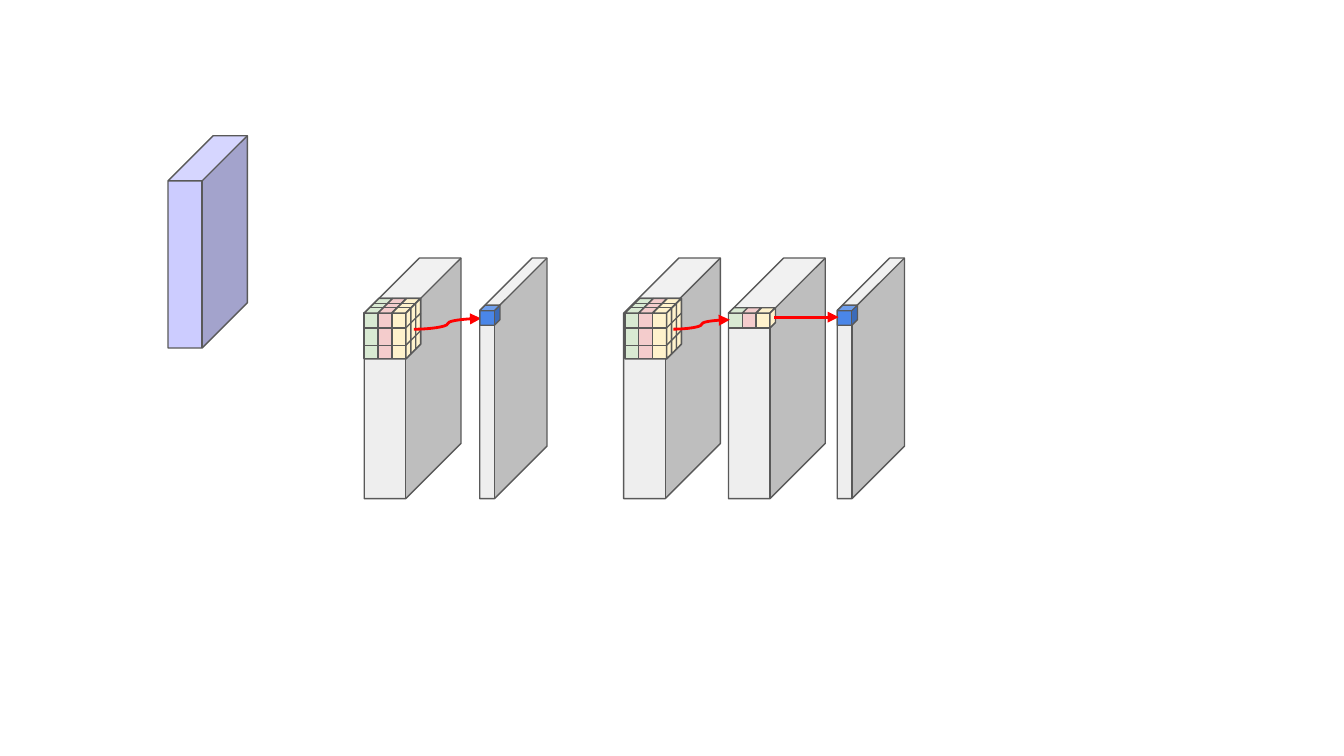
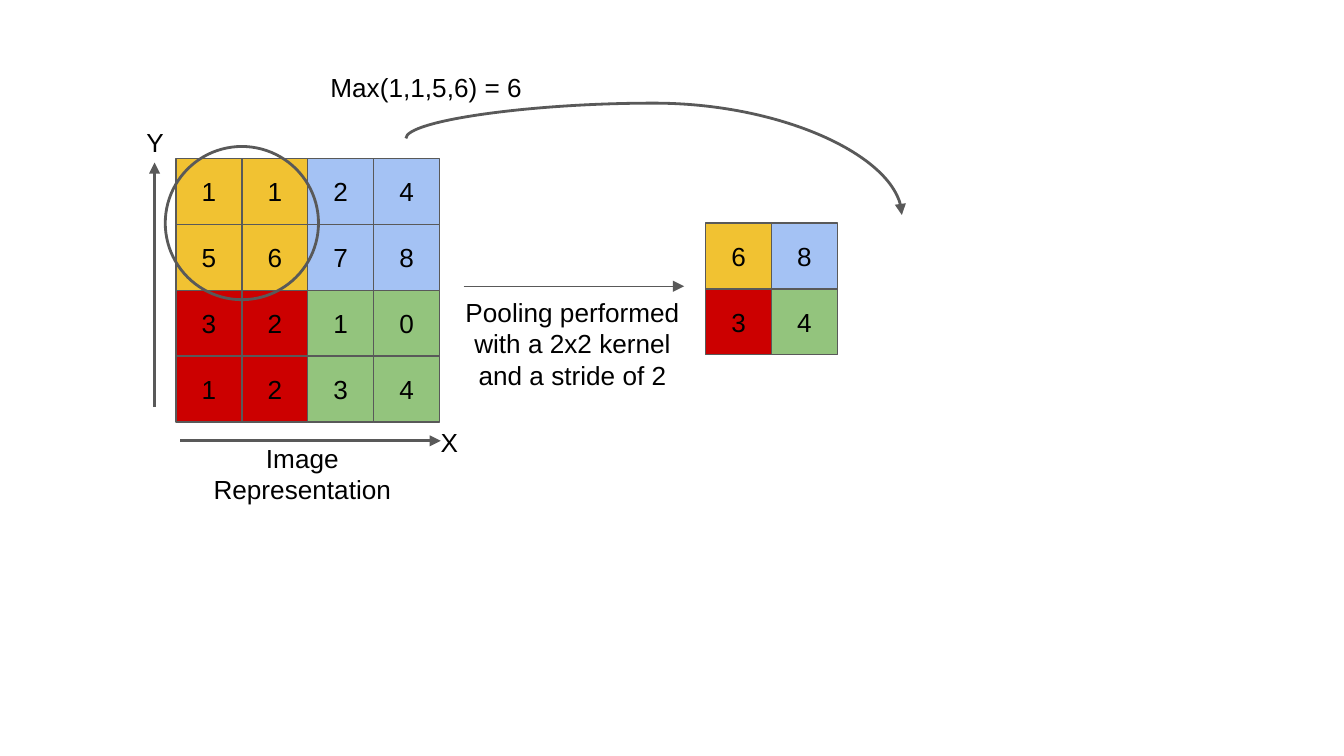
from dataclasses import dataclass

from lxml import etree
from pptx import Presentation
from pptx.dml.color import RGBColor
from pptx.enum.shapes import MSO_CONNECTOR, MSO_SHAPE
from pptx.enum.text import MSO_ANCHOR, PP_ALIGN
from pptx.oxml.ns import qn
from pptx.util import Emu, Inches, Pt

CUBE, RECTANGLE, ELLIPSE = MSO_SHAPE.CUBE, MSO_SHAPE.RECTANGLE, MSO_SHAPE.OVAL
PARALLELOGRAM = MSO_SHAPE.PARALLELOGRAM
STRAIGHT, CURVE = MSO_CONNECTOR.STRAIGHT, MSO_CONNECTOR.CURVE
LEFT, CENTER = PP_ALIGN.LEFT, PP_ALIGN.CENTER
TOP, MIDDLE = MSO_ANCHOR.TOP, MSO_ANCHOR.MIDDLE

COLUMNS = 10  # grid columns across the slide; rows are as tall as columns are wide


@dataclass(frozen=True)
class Theme:
    font: str = "Arial"
    text_size: float = 14
    text: str = "000000"
    outline: str = "595959"
    thin: float = 0.75
    thick: float = 1.5
    inset: float = 0.1
    volume: str = "EEEEEE"
    input_volume: str = "CCCCFF"
    output_cell: str = "4A86E8"
    flow: str = "FF0000"
    channels: tuple = ("D9EAD3", "F4CCCC", "FFF2CC")
    quadrants: tuple = (("F1C232", "A4C2F4"), ("CC0000", "93C47D"))


class Deck:
    """Draws on the current slide, with every length in grid units."""

    def __init__(self, theme):
        self.theme = theme
        self.presentation = Presentation()
        self.presentation.slide_width = Inches(10)
        self.presentation.slide_height = Inches(5.625)
        self.unit = self.presentation.slide_width / COLUMNS
        self.slide = None

    def new_slide(self):
        self.slide = self.presentation.slides.add_slide(self.presentation.slide_layouts[6])

    def lengths(self, *values):
        return [Emu(round(value * self.unit)) for value in values]

    def paint(self, shape, fill, width):
        shape.shadow.inherit = False
        if fill:
            shape.fill.solid()
            shape.fill.fore_color.rgb = RGBColor.from_string(fill)
        else:
            shape.fill.background()
        shape.line.color.rgb = RGBColor.from_string(self.theme.outline)
        shape.line.width = Pt(width)

    def shape(self, kind, box, fill=None, adjustment=None, width=None):
        shape = self.slide.shapes.add_shape(kind, *self.lengths(*box))
        self.paint(shape, fill, width or self.theme.thin)
        if adjustment is not None:
            shape.adjustments[0] = adjustment
        return shape

    def polygon(self, points, fill):
        corners = [self.lengths(*point) for point in points]
        builder = self.slide.shapes.build_freeform(*corners[0])
        builder.add_line_segments(corners[1:], close=True)
        self.paint(builder.convert_to_shape(), fill, self.theme.thin)

    def line(self, start, end, kind=STRAIGHT, color=None, width=None, arrow=False):
        connector = self.slide.shapes.add_connector(kind, *self.lengths(*start, *end))
        connector.line.color.rgb = RGBColor.from_string(color or self.theme.outline)
        connector.line.width = Pt(width or self.theme.thin)
        properties = connector.element.spPr
        if arrow:
            etree.SubElement(properties.find(qn("a:ln")), qn("a:tailEnd"), type="triangle")
        etree.SubElement(properties, qn("a:effectLst"))
        return connector

    def flow(self, start, end):
        self.line(start, end, CURVE, self.theme.flow, self.theme.thick, arrow=True)

    def arch(self, start, end, bend):
        """Curved arrow that leaves upwards: a sideways curve turned by 270 degrees."""
        center_x, center_y = (start[0] + end[0]) / 2, (start[1] + end[1]) / 2
        half_x, half_y = (end[0] - start[0]) / 2, (end[1] - start[1]) / 2
        connector = self.line((center_x + half_y, center_y - half_x),
                              (center_x - half_y, center_y + half_x),
                              CURVE, width=self.theme.thick, arrow=True)
        properties = connector.element.spPr
        properties.find(qn("a:xfrm")).set("rot", str(270 * 60000))
        guides = properties.find(qn("a:prstGeom")).find(qn("a:avLst"))
        etree.SubElement(guides, qn("a:gd"), name="adj1", fmla=f"val {round(bend * 100000)}")

    def set_text(self, shape, text, align=CENTER, anchor=MIDDLE):
        frame = shape.text_frame
        frame.word_wrap = True
        frame.vertical_anchor = anchor
        inset, = self.lengths(self.theme.inset)
        frame.margin_left = frame.margin_right = inset
        frame.margin_top = frame.margin_bottom = inset
        paragraph = frame.paragraphs[0]
        paragraph.text = text
        paragraph.alignment = align
        paragraph.font.name = self.theme.font
        paragraph.font.size = Pt(self.theme.text_size)
        paragraph.font.color.rgb = RGBColor.from_string(self.theme.text)

    def label(self, box, text, align=LEFT, anchor=TOP):
        self.set_text(self.slide.shapes.add_textbox(*self.lengths(*box)), text, align, anchor)

    def cell_grid(self, left, top, size, rows):
        """Numbered square cells, coloured by the quadrant they lie in."""
        half = len(rows) // 2
        for row, values in enumerate(rows):
            for column, value in enumerate(values):
                box = (left + column * size, top + row * size, size, size)
                fill = self.theme.quadrants[row // half][column // half]
                self.set_text(self.shape(RECTANGLE, box, fill), str(value))

    def wide_volume(self, left, top):
        self.shape(CUBE, (left, top, 0.72, 1.79), self.theme.volume, 0.57)

    def output_volume(self, left, top):
        self.shape(CUBE, (left, top, 0.5, 1.79), self.theme.volume, 0.78)

    def output_cell(self, left, top):
        self.shape(CUBE, (left, top, 0.15, 0.15), self.theme.output_cell, 0.28)

    def filter_block(self, left, top, depth, height, roof_widths, ridges, seams, layers):
        """Three coloured channels with a slanted roof, a layered side and row seams."""
        width = 0.31
        pitch = width / len(self.theme.channels)
        right, front = left + width, top + depth
        for index, color in enumerate(self.theme.channels):
            self.shape(RECTANGLE, (left + index * pitch, front, pitch, height), color)
        for index, (color, roof) in enumerate(zip(self.theme.channels, roof_widths)):
            self.shape(PARALLELOGRAM, (left + index * pitch, top, roof, depth), color, 1)
        for shift in ridges:
            self.line((left + shift, front - shift), (right + shift, front - shift))
        step = depth / layers
        for layer in range(layers):
            near, far = layer * step, (layer + 1) * step
            self.polygon([(right + near, front - near), (right + far, front - far),
                          (right + far, front - far + height),
                          (right + near, front - near + height)], self.theme.channels[-1])
        for seam in seams:
            self.line((left, top + seam), (right, top + seam))
            self.line((right, top + seam), (right + depth, top + seam - depth))

    def full_kernel(self, left, top):
        self.shape(CUBE, (left, top, 0.42, 0.45), self.theme.volume, 0.26)
        self.filter_block(left, top, depth=0.11, height=0.34, roof_widths=(0.21,) * 3,
                          ridges=(0.04, 0.07), seams=(0.22, 0.35), layers=3)

    def depth_strip(self, left, top):
        self.filter_block(left, top, depth=0.04, height=0.11, roof_widths=(0.21, 0.14, 0.14),
                          ridges=(0.04,), seams=(0.15,), layers=1)


def convolution_slide(deck):
    deck.new_slide()
    volume_top, kernel_top, cell_top = 1.92, 2.22, 2.27

    deck.wide_volume(2.71, volume_top)
    deck.full_kernel(2.71, kernel_top)
    deck.output_volume(3.57, volume_top)
    deck.flow((3.08, 2.45), (3.58, 2.37))
    deck.output_cell(3.57, cell_top)

    deck.wide_volume(4.64, volume_top)
    deck.full_kernel(4.65, kernel_top)
    deck.wide_volume(5.42, volume_top)
    deck.depth_strip(5.42, 2.29)
    deck.flow((5.01, 2.45), (5.43, 2.38))
    deck.output_volume(6.23, volume_top)
    deck.output_cell(6.23, cell_top)
    deck.flow((5.76, 2.36), (6.24, 2.36))

    deck.shape(CUBE, (1.25, 1.01, 0.59, 1.58), deck.theme.input_volume, 0.57)


def pooling_slide(deck):
    deck.new_slide()
    thick = deck.theme.thick
    deck.cell_grid(1.31, 1.18, 0.49, [(1, 1, 2, 4), (5, 6, 7, 8), (3, 2, 1, 0), (1, 2, 3, 4)])
    deck.cell_grid(5.25, 1.66, 0.49, [(6, 8), (3, 4)])

    deck.line((1.34, 3.28), (3.28, 3.28), width=thick, arrow=True)
    deck.line((1.15, 3.03), (1.15, 1.21), width=thick, arrow=True)
    deck.shape(ELLIPSE, (1.23, 1.09, 1.14, 1.14), width=thick)
    deck.arch((3.02, 1.03), (6.71, 1.6), bend=-0.46)

    deck.label((2.36, 0.43, 1.88, 0.76), "Max(1,1,5,6) = 6")
    deck.label((1.31, 3.19, 1.88, 0.76), "Image Representation", CENTER)
    deck.label((0.99, 0.84, 0.49, 0.76), "Y")
    deck.label((3.18, 3.07, 0.49, 0.76), "X")
    deck.line((3.45, 2.13), (5.09, 2.13), arrow=True)
    deck.label((3.25, 2.07, 2.02, 0.97),
               "Pooling performed with a 2x2 kernel and a stride of 2", CENTER, MIDDLE)


def main():
    deck = Deck(Theme())
    convolution_slide(deck)
    pooling_slide(deck)
    deck.presentation.save("out.pptx")


if __name__ == "__main__":
    main()
